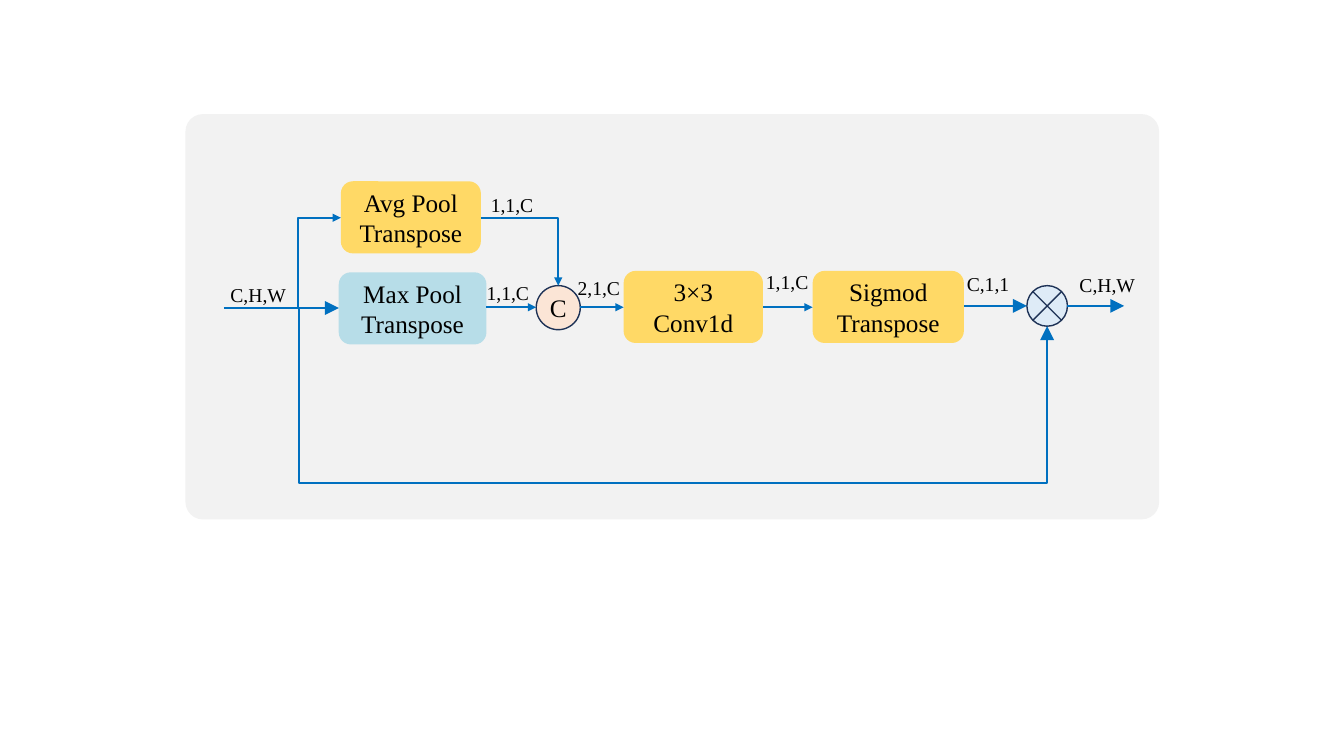
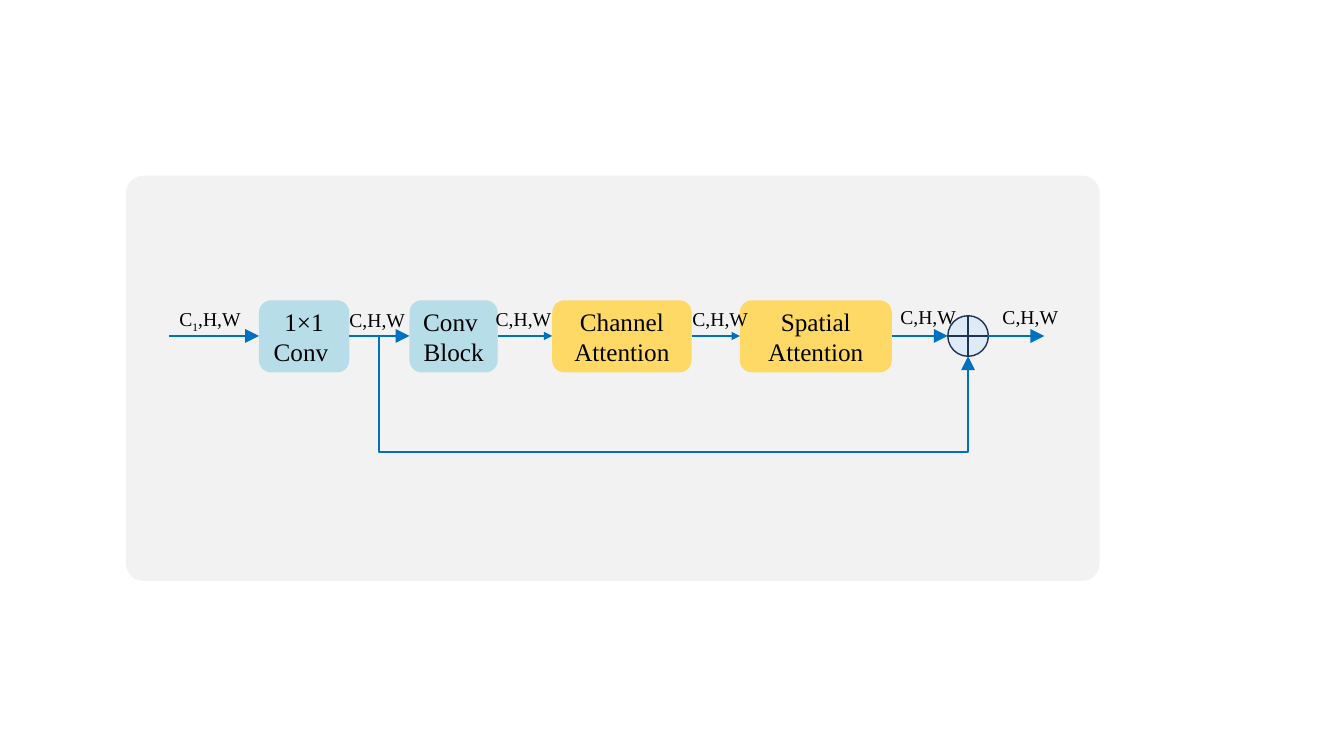
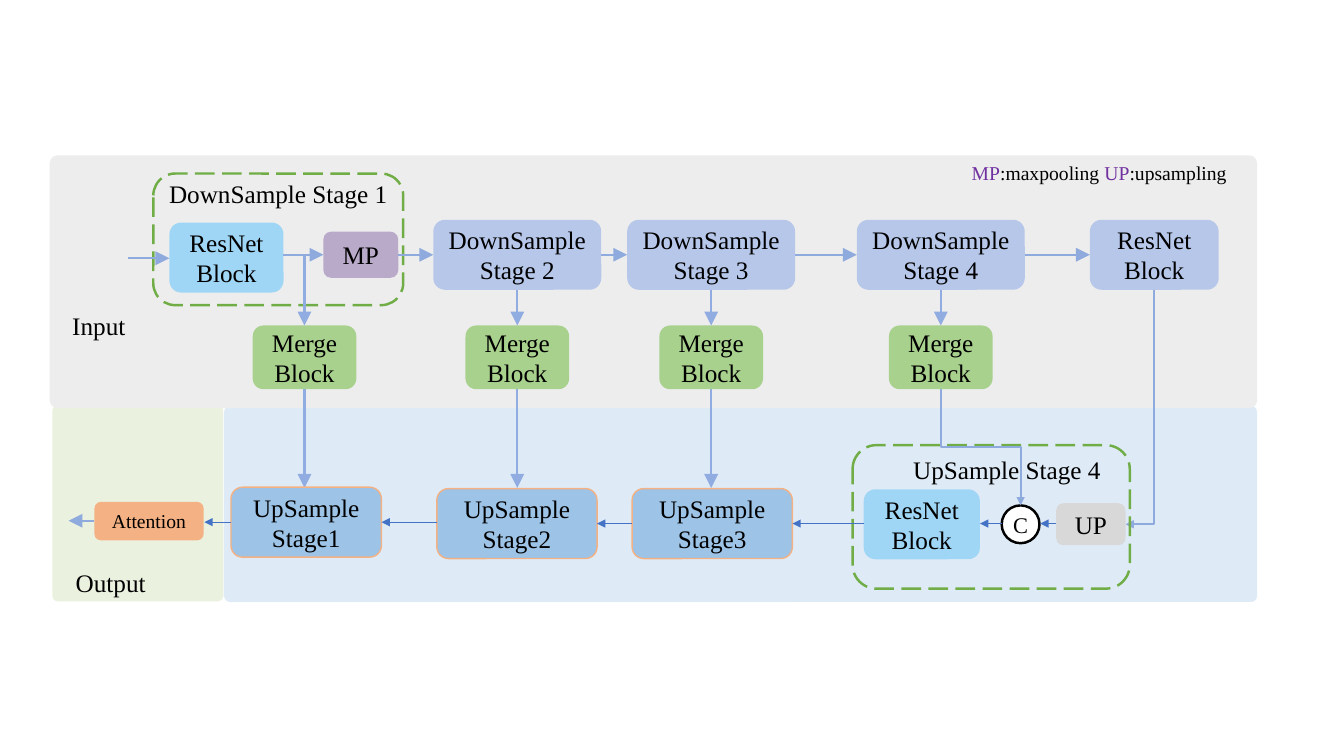
"""Draw three network diagrams: channel attention, merge block and whole network."""
from lxml import etree
from pptx import Presentation
from pptx.dml.color import RGBColor
from pptx.enum.dml import MSO_LINE
from pptx.enum.shapes import MSO_CONNECTOR, MSO_SHAPE
from pptx.enum.text import MSO_ANCHOR, PP_ALIGN
from pptx.oxml.ns import qn
from pptx.util import Pt

ROUNDED = MSO_SHAPE.ROUNDED_RECTANGLE
ELLIPSE = MSO_SHAPE.OVAL
TIMES = MSO_SHAPE.FLOWCHART_SUMMING_JUNCTION
PLUS = MSO_SHAPE.FLOWCHART_OR
STRAIGHT = MSO_CONNECTOR.STRAIGHT
LONG_DASH = MSO_LINE.LONG_DASH
MIDDLE, TOP = MSO_ANCHOR.MIDDLE, MSO_ANCHOR.TOP
CENTER, LEFT = PP_ALIGN.CENTER, PP_ALIGN.LEFT

FONT = "Times New Roman"
BLACK, WHITE, PURPLE = "000000", "FFFFFF", "7030A0"
PANEL, NAVY, ICE, PEACH = "F2F2F2", "1E3256", "DEEBF7", "FBE5D6"
YELLOW, TEAL, BLUE = "FFD966", "B7DDE8", "0070C0"
PERIWINKLE, DOWNWARD, ROYAL = "8FAADC", "91ACE0", "4472C4"
SKY, LAVENDER, MAUVE, GREY = "A0D6F5", "B6C7EA", "B9AACA", "D8D8D8"
GREEN, FRAME_GREEN, ORANGE, STEEL = "A9D18E", "70AD47", "F4B183", "9DC3E6"
SILVER, PALE_GREEN = "EDEDED", "EBF1DF"


def rgb(value):
    """Return the colour for a hex string."""
    return RGBColor.from_string(value)


def style_text(text_frame, size, alignment):
    """Give every paragraph the shared font."""
    text_frame.word_wrap = True
    for paragraph in text_frame.paragraphs:
        paragraph.alignment = alignment
        paragraph.font.name = FONT
        paragraph.font.size = Pt(size)
        paragraph.font.color.rgb = rgb(BLACK)


def add_block(slide, box, fill=None, text="", size=18, line=None, line_width=1,
              kind=ROUNDED, corner=None):
    """Add a preset shape with optional fill, outline and centred text."""
    shape = slide.shapes.add_shape(kind, *map(Pt, box))
    shape.shadow.inherit = False
    if corner is not None:
        shape.adjustments[0] = corner
    if fill:
        shape.fill.solid()
        shape.fill.fore_color.rgb = rgb(fill)
    else:
        shape.fill.background()
    if line:
        shape.line.color.rgb = rgb(line)
        shape.line.width = Pt(line_width)
    else:
        shape.line.fill.background()
    if text:
        text_frame = shape.text_frame
        text_frame.text = text
        text_frame.vertical_anchor = MIDDLE
        if kind == ELLIPSE:
            text_frame.margin_left = text_frame.margin_right = 0
            text_frame.margin_top = text_frame.margin_bottom = 0
        style_text(text_frame, size, CENTER)
    return shape


def add_frame(slide, box):
    """Add a dashed green outline around a stage."""
    shape = add_block(slide, box, line=FRAME_GREEN, line_width=1.75)
    shape.line.dash_style = LONG_DASH


def add_label(slide, left, top, text, width=56, height=24.5, size=14, alignment=LEFT):
    """Add a plain text label and return its first paragraph."""
    label = slide.shapes.add_textbox(Pt(left), Pt(top), Pt(width), Pt(height))
    text_frame = label.text_frame
    text_frame.text = text
    text_frame.vertical_anchor = TOP
    style_text(text_frame, size, alignment)
    return text_frame.paragraphs[0]


def add_arrow(slide, points, color=BLUE, width=1.5, head="lg"):
    """Add an arrow through the points, as a connector or a bent path."""
    places = [(Pt(x), Pt(y)) for x, y in points]
    if len(places) == 2:
        arrow = slide.shapes.add_connector(STRAIGHT, *places[0], *places[1])
        etree.SubElement(arrow._element.spPr, qn("a:effectLst"))
    else:
        builder = slide.shapes.build_freeform(*places[0])
        builder.add_line_segments(places[1:], close=False)
        arrow = builder.convert_to_shape()
        arrow.shadow.inherit = False
        arrow.fill.background()
    arrow.line.color.rgb = rgb(color)
    arrow.line.width = Pt(width)
    outline = arrow.line._get_or_add_ln()
    etree.SubElement(outline, qn("a:tailEnd"), type="triangle", w=head, len=head)


def add_level_arrows(slide, y, spans, **style):
    """Add horizontal arrows at one height."""
    for start, end in spans:
        add_arrow(slide, [(start, y), (end, y)], **style)


def add_panel(slide, left, top):
    """Add the grey panel behind a module diagram."""
    add_block(slide, (left, top, 695.5, 289.5), PANEL, corner=0.043)


def add_junction(slide, kind, left, top):
    """Add a round operator sign."""
    add_block(slide, (left, top, 29, 29), ICE, line=NAVY, kind=kind)


def build_channel_attention(slide):
    """Draw the channel attention module."""
    add_panel(slide, 132.5, 81.5)
    for left, top, width, fill, text in (
        (243.5, 129.5, 100, YELLOW, "Avg Pool\nTranspose"),
        (242, 194.5, 105.5, TEAL, "Max Pool\nTranspose"),
        (445.5, 193.5, 99.5, YELLOW, "3×3 Conv1d"),
        (580.5, 193.5, 108, YELLOW, "Sigmod\nTranspose"),
    ):
        add_block(slide, (left, top, width, 51.5), fill, text)
    add_block(slide, (383, 204, 31.5, 31.5), PEACH, "C", line=NAVY, kind=ELLIPSE)
    add_junction(slide, TIMES, 733.5, 204)
    add_level_arrows(slide, 220, [(160, 242)])
    add_level_arrows(slide, 218.5, [(688.5, 733.5), (762.5, 803)])
    add_level_arrows(slide, 219.5, [(347.5, 383), (414.5, 445.5), (545, 580.5)], head="med")
    add_arrow(slide, [(213.5, 220), (213.5, 345), (748, 345), (748, 233)])
    add_arrow(slide, [(213, 220), (213, 155.5), (243.5, 155.5)], head="med")
    add_arrow(slide, [(343.5, 155.5), (398.75, 155.5), (398.75, 204)], head="med")
    for left, top, text in (
        (540, 189.5, "1,1,C"), (343.5, 134, "1,1,C"), (340.5, 197, "1,1,C"),
        (405.5, 193.5, "2,1,C"), (157.5, 198.5, "C,H,W"),
        (683.5, 191, "C,1,1"), (764, 191.5, "C,H,W"),
    ):
        add_label(slide, left, top, text)


def build_merge_block(slide):
    """Draw the merge block with its residual path."""
    add_panel(slide, 90, 125.5)
    for left, width, fill, text in (
        (185, 64.5, TEAL, "1×1 Conv "),
        (292.5, 63, TEAL, "Conv \nBlock"),
        (394.5, 99.5, YELLOW, "Channel\nAttention"),
        (528.5, 108.5, YELLOW, "Spatial Attention"),
    ):
        add_block(slide, (left, 214.5, width, 51.5), fill, text)
    add_junction(slide, PLUS, 677, 225.5)
    add_level_arrows(slide, 240, [(121, 185), (249.5, 292.5), (637, 677), (706, 746)])
    add_level_arrows(slide, 240, [(355.5, 394.5), (494, 528.5)], head="med")
    add_arrow(slide, [(271, 240), (271, 323), (691.5, 323), (691.5, 254.5)])
    for left, top in ((242.5, 216.5), (347, 215.5), (487.5, 216), (636, 214.5), (709, 214.5)):
        add_label(slide, left, top, "C,H,W")
    paragraph = add_label(slide, 121, 216, "C", width=71)
    subscript = paragraph.add_run()
    subscript.text = "1"
    subscript._r.get_or_add_rPr().set("baseline", "-25000")
    paragraph.add_run().text = ",H,W"


def build_encoder(slide):
    """Draw the downsampling row and its merge blocks."""
    add_block(slide, (121, 159, 81.5, 50), SKY, "ResNet Block")
    add_frame(slide, (109.5, 124, 178.5, 94))
    add_label(slide, 109.5, 124, "DownSample Stage 1", 178.5, 29, 18, CENTER)
    add_block(slide, (231, 165.5, 53.5, 33), MAUVE, "MP")
    for number, left in enumerate((309.5, 448, 612), start=2):
        add_block(slide, (left, 157, 120, 50), LAVENDER, f"DownSample \nStage {number}")
    add_block(slide, (778.5, 157, 92, 50), LAVENDER, "ResNet Block")
    add_level_arrows(slide, 184.5, [(91.5, 121)], color=PERIWINKLE)
    add_level_arrows(slide, 182, [(202.5, 231), (284.5, 309.5), (429.5, 448), (568, 612),
                                  (732, 778.5)], color=PERIWINKLE)
    for center, top in ((217.5, 182), (369.5, 207), (508, 207), (672, 207)):
        add_arrow(slide, [(center, top), (center, 232.5)], DOWNWARD)
        add_block(slide, (center - 37, 232.5, 74, 45.5), GREEN, "Merge Block")


def build_decoder(slide):
    """Draw the upsampling row from right to left."""
    for center in (217.5, 369.5, 508):
        add_arrow(slide, [(center, 278), (center, 348.5)], DOWNWARD)
    add_arrow(slide, [(824.5, 207), (824.5, 374.5), (804, 374.5)], PERIWINKLE, head="med")
    add_block(slide, (754.5, 359.5, 49.5, 30), GREY, "UP")
    add_block(slide, (715.5, 361, 27, 27), WHITE, "C", 16, BLACK, 1.75, ELLIPSE)
    add_frame(slide, (609, 318, 198, 102.5))
    add_block(slide, (617, 349.5, 83, 50), SKY, "ResNet Block")
    add_label(slide, 630, 321, "UpSample Stage 4", 178.5, 29, 18, CENTER)
    add_arrow(slide, [(672, 278), (672, 319.5), (729, 319.5), (729, 361)], PERIWINKLE,
              head="med")
    for number, (left, top, width) in enumerate(
            ((165, 348, 107.5), (312, 349, 114.5), (451.5, 349, 114.5)), start=1):
        add_block(slide, (left, top, width, 50), STEEL, f"UpSample Stage{number}", line=ORANGE)
    add_block(slide, (67.5, 358.5, 78, 27.5), ORANGE, "Attention", 14)
    add_level_arrows(slide, 374, [(754.5, 743), (715.5, 700), (617, 566), (451.5, 426.5)],
                     color=ROYAL, width=0.5, head="med")
    add_level_arrows(slide, 373, [(312, 272.5), (165, 146)],
                     color=ROYAL, width=0.5, head="med")
    add_level_arrows(slide, 372, [(67.5, 49)], color=PERIWINKLE)


def build_network(slide):
    """Draw the whole network on its three background bands."""
    for box, fill in (
        ((160, 290, 738, 140), ICE),
        ((37.5, 289.5, 122, 140), PALE_GREEN),
        ((35.5, 111, 862.5, 180.5), SILVER),
    ):
        add_block(slide, box, fill, corner=0.031)
    add_label(slide, 44.5, 218, "Input", 68, 29, 18)
    add_label(slide, 47, 402, "Output", 68, 29, 18)
    build_encoder(slide)
    build_decoder(slide)
    legend = add_label(slide, 687, 111.5, "", 210)
    for text, color in (("MP", PURPLE), (":maxpooling ", BLACK),
                        ("UP", PURPLE), (":upsampling", BLACK)):
        run = legend.add_run()
        run.text = text
        run.font.color.rgb = rgb(color)


def main():
    """Build the presentation and save it."""
    presentation = Presentation()
    presentation.slide_width, presentation.slide_height = Pt(960), Pt(540)
    blank_layout = presentation.slide_layouts[6]
    for build in (build_channel_attention, build_merge_block, build_network):
        build(presentation.slides.add_slide(blank_layout))
    presentation.save("out.pptx")


if __name__ == "__main__":
    main()
